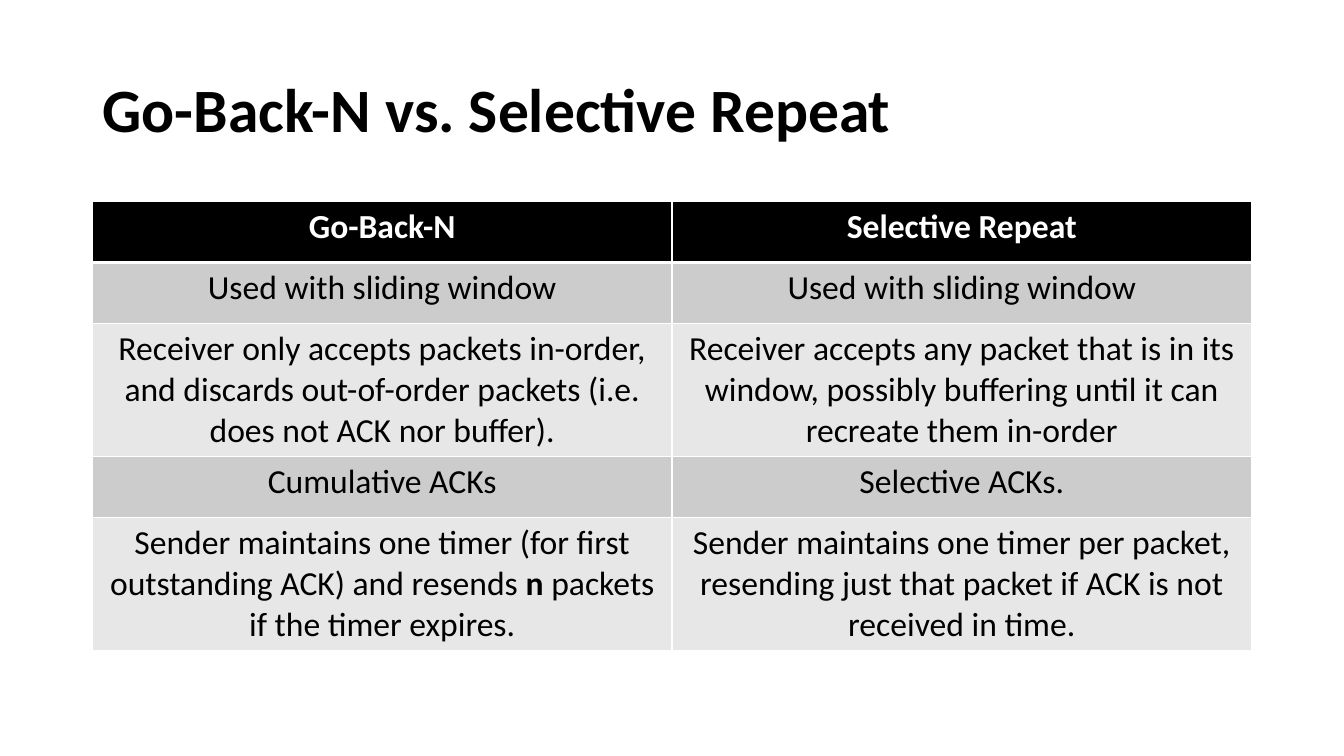
from dataclasses import dataclass

from lxml import etree
from pptx import Presentation
from pptx.dml.color import RGBColor
from pptx.enum.text import MSO_ANCHOR, PP_ALIGN
from pptx.oxml.ns import qn
from pptx.util import Pt

PX = 9525  # EMU per px, 96 px to the inch
LEFT, CENTER = PP_ALIGN.LEFT, PP_ALIGN.CENTER
MIDDLE = MSO_ANCHOR.MIDDLE
TITLE_ONLY = 5


@dataclass(frozen=True)
class Theme:
    font: str = "Calibri"
    title_size: int = 44
    table_size: int = 24
    dark: str = "000000"
    light: str = "FFFFFF"
    bands: tuple = ("CCCCCC", "E7E7E7")
    rule: int = 1
    header_rule: int = 3


THEME = Theme()

# Each cell is a list of runs; every second run is bold.
ROWS = [
    (["Go-Back-N"], ["Selective Repeat"]),
    (["Used with sliding window"], ["Used with sliding window"]),
    (["Receiver only accepts packets in-order, and discards out-of-order "
      "packets (i.e. does not ACK nor buffer)."],
     ["Receiver accepts any packet that is in its window, possibly buffering "
      "until it can recreate them in-order"]),
    (["Cumulative ACKs"], ["Selective ACKs."]),
    (["Sender maintains one timer (for first outstanding ACK) and resends ",
      "n", " packets if the timer expires."],
     ["Sender maintains one timer per packet, resending just that packet if "
      "ACK is not received in time."]),
]
ROW_HEIGHTS = [58, 58, 117, 58, 117]


def px(*lengths):
    return [length * PX for length in lengths]


def add_run(p, text, size, color, bold):
    r = p.add_run()
    r.text = text
    r.font.name = THEME.font
    r.font.size = Pt(size)
    r.font.bold = bold
    r.font.color.rgb = RGBColor.from_string(color)


def set_borders(cell, top, bottom):
    """Draw the four cell borders; widths are in points."""
    tc_pr = cell._tc.get_or_add_tcPr()
    widths = {"a:lnL": THEME.rule, "a:lnR": THEME.rule,
              "a:lnT": top, "a:lnB": bottom}
    for tag, width in widths.items():
        ln = etree.SubElement(tc_pr, qn(tag), w=str(Pt(width)))
        fill = etree.SubElement(ln, qn("a:solidFill"))
        etree.SubElement(fill, qn("a:srgbClr"), val=THEME.light)


def add_title(s, text, box):
    title = s.shapes.title
    title.left, title.top, title.width, title.height = px(*box)
    tf = title.text_frame
    tf.word_wrap = True
    tf.vertical_anchor = MIDDLE
    p = tf.paragraphs[0]
    p.alignment = LEFT
    p.line_spacing = 0.9
    add_run(p, text, THEME.title_size, THEME.dark, True)


def fill_cell(cell, runs, row):
    header = row == 0
    set_borders(cell,
                top=THEME.header_rule if row == 1 else THEME.rule,
                bottom=THEME.header_rule if header else THEME.rule)
    cell.fill.solid()
    back = THEME.dark if header else THEME.bands[(row - 1) % 2]
    cell.fill.fore_color.rgb = RGBColor.from_string(back)
    p = cell.text_frame.paragraphs[0]
    p.alignment = CENTER
    for i, text in enumerate(runs):
        add_run(p, text, THEME.table_size,
                THEME.light if header else THEME.dark, header or i % 2 == 1)


def add_comparison(s, rows, heights, box):
    left, top, width = box
    columns = len(rows[0])
    table = s.shapes.add_table(len(rows), columns,
                               *px(left, top, width, sum(heights))).table
    for column in table.columns:
        column.width = width * PX // columns
    for i, (cells, height) in enumerate(zip(rows, heights)):
        table.rows[i].height = height * PX
        for j, runs in enumerate(cells):
            fill_cell(table.cell(i, j), runs, i)


def main():
    prs = Presentation()
    prs.slide_width, prs.slide_height = px(1280, 720)
    s = prs.slides.add_slide(prs.slide_layouts[TITLE_ONLY])
    add_title(s, "Go-Back-N vs. Selective Repeat", (88, 38, 1104, 139))
    add_comparison(s, ROWS, ROW_HEIGHTS, (88, 192, 1104))
    prs.save("out.pptx")


if __name__ == "__main__":
    main()
